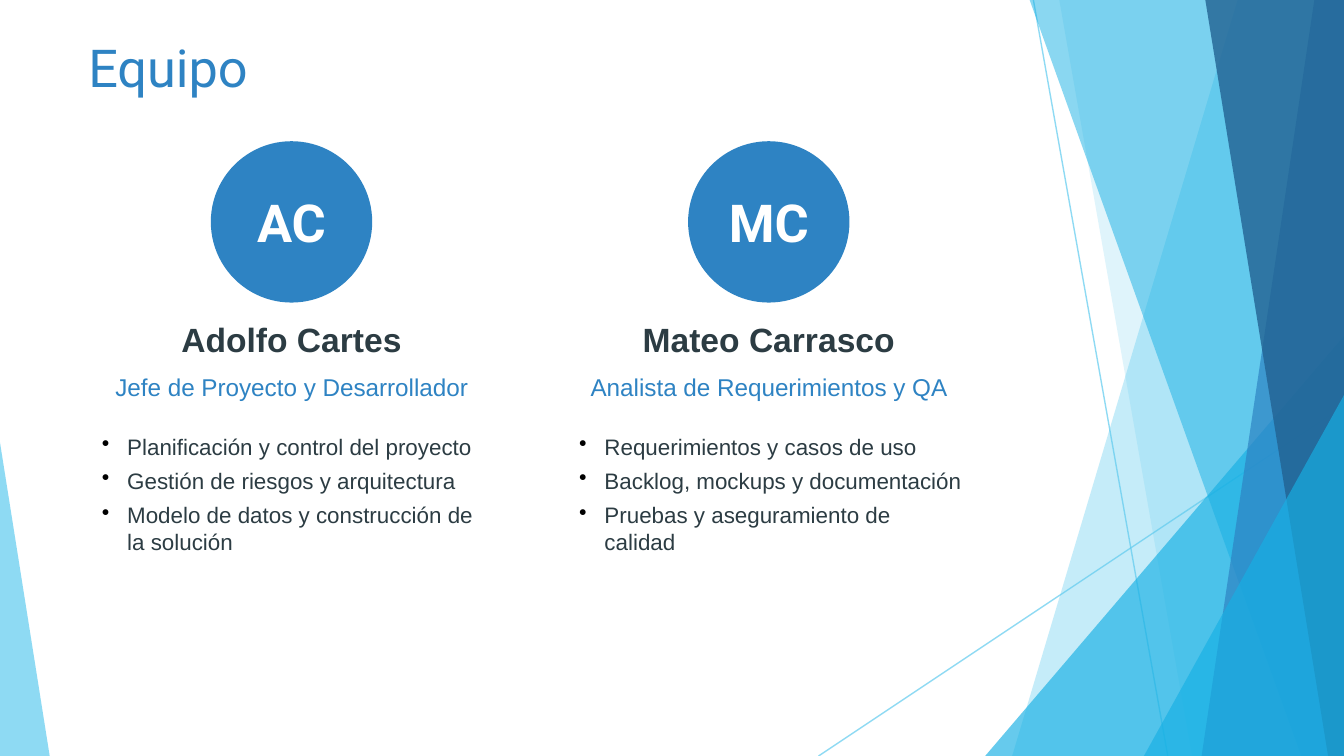
from lxml import etree
from pptx import Presentation
from pptx.dml.color import RGBColor
from pptx.enum import shapes, text
from pptx.oxml.ns import qn
from pptx.util import Cm, Pt

TITLE = "Equipo"
TEAM = [
    ("AC", "Adolfo Cartes", "Jefe de Proyecto y Desarrollador",
     ["Planificación y control del proyecto",
      "Gestión de riesgos y arquitectura",
      "Modelo de datos y construcción de la solución"]),
    ("MC", "Mateo Carrasco", "Analista de Requerimientos y QA",
     ["Requerimientos y casos de uso",
      "Backlog, mockups y documentación",
      "Pruebas y aseguramiento de calidad"]),
]
THEME = {
    "sky": "5FCBEF", "cyan": "17B0E4", "blue": "2E83C3", "navy": "226292",
    "ink": "2C3C43", "white": "FFFFFF", "black": "000000",
    "head": "Roboto", "body": "Arial",
    "big": 28, "name": 18, "role": 13, "task": 12,
}
WIDE, HIGH = 25.4, 14.29
RAYS = [(19.53, 0, 22.07, HIGH), (WIDE, 7.67, 15.47, HIGH)]
PANELS = [
    ("band", (23.39, 19.13), "sky", 36),
    ("band", (20.02, 22.53), "sky", 20),
    ("wedge", (18.62, 6.35, 6.78, 1), "cyan", 66),
    ("band", (19.46, 24.59), "cyan", 50),
    ("band", (24.84, 22.71), "blue", 70),
    ("band", (22.78, 25.1), "navy", 80),
    ("wedge", (21.62, 7.47, 3.78, 1), "cyan", 66),
    ("wedge", (0, 8.36, 0.94, 0), "sky", 70),
]
MID, PITCH, DISC = 5.51, 9.02, 3.05
CARD, LIST, INDENT = 7.87, 7.49, 0.48


def tint(name):
    return RGBColor.from_string(THEME[name])


def fade(item, share):
    for node in item.element.iter(qn("a:srgbClr")):
        etree.SubElement(node, qn("a:alpha")).set("val", str(share * 1000))


def paint(shape, hue):
    shape.shadow.inherit = False
    shape.fill.solid()
    shape.fill.fore_color.rgb = tint(hue)
    shape.line.fill.background()


def draw_ray(slide, ends):
    ray = slide.shapes.add_connector(
        shapes.MSO_CONNECTOR.STRAIGHT, *[Cm(v) for v in ends])
    ray.line.width = Pt(0.75)
    ray.line.color.rgb = tint("sky")
    etree.SubElement(ray.element.spPr, qn("a:effectLst"))
    fade(ray, 70)


def draw_panel(slide, kind, size, hue, share):
    if kind == "band":
        top, base = size
        pen = slide.shapes.build_freeform(Cm(top), 0)
        pen.add_line_segments([(Cm(WIDE), 0), (Cm(WIDE), Cm(HIGH)),
                               (Cm(base), Cm(HIGH))], close=True)
        panel = pen.convert_to_shape()
    else:
        left, top, width, peak = size
        panel = slide.shapes.add_shape(
            shapes.MSO_SHAPE.ISOSCELES_TRIANGLE,
            Cm(left), Cm(top), Cm(width), Cm(HIGH - top))
        panel.adjustments[0] = peak
    paint(panel, hue)
    fade(panel, share)


def add_dot(para):
    props = para._p.get_or_add_pPr()
    props.set("marL", str(Cm(INDENT)))
    props.set("indent", str(-Cm(INDENT)))
    color = etree.SubElement(props, qn("a:buClr"))
    etree.SubElement(color, qn("a:srgbClr")).set("val", THEME["black"])
    etree.SubElement(props, qn("a:buChar")).set("char", "•")


def write(shape, lines, face, size, hue, bold=False, center=True,
          after=3, dots=False):
    frame = shape.text_frame
    frame.word_wrap = True
    frame.text = "\n".join(lines)
    for para in frame.paragraphs:
        if dots:
            add_dot(para)
        para.alignment = text.PP_ALIGN.CENTER if center else text.PP_ALIGN.LEFT
        para.space_after = Pt(after)
        for run in para.runs:
            font = run.font
            font.name, font.size = THEME[face], Pt(THEME[size])
            font.bold, font.color.rgb = bold, tint(hue)


def add_box(slide, left, top, width, height):
    box = slide.shapes.add_textbox(Cm(left), Cm(top), Cm(width), Cm(height))
    frame = box.text_frame
    frame.margin_left = frame.margin_right = Cm(0.1)
    frame.margin_top = frame.margin_bottom = Cm(0.05)
    frame.auto_size = text.MSO_AUTO_SIZE.SHAPE_TO_FIT_TEXT
    return box


def add_card(slide, mid, mark, name, role, tasks):
    disc = slide.shapes.add_shape(
        shapes.MSO_SHAPE.OVAL, Cm(mid - DISC / 2), Cm(2.67), Cm(DISC), Cm(DISC))
    paint(disc, "blue")
    disc.text_frame.vertical_anchor = text.MSO_ANCHOR.MIDDLE
    write(disc, [mark], "head", "big", "white", bold=True)
    left = mid - CARD / 2
    write(add_box(slide, left, 5.97, CARD, 1.02), [name],
          "body", "name", "ink", bold=True)
    write(add_box(slide, left, 6.99, CARD, 0.89), [role],
          "body", "role", "blue")
    write(add_box(slide, left + 0.25, 8.13, LIST, 3.3), tasks,
          "body", "task", "ink", center=False, after=4, dots=True)


def main():
    deck = Presentation()
    deck.slide_width, deck.slide_height = Cm(WIDE), Cm(HIGH)
    slide = deck.slides.add_slide(deck.slide_layouts[6])
    for ends in RAYS:
        draw_ray(slide, ends)
    for panel in PANELS:
        draw_panel(slide, *panel)
    title = slide.shapes.add_textbox(Cm(1.42), Cm(0.3), Cm(17.91), Cm(1.93))
    title.text_frame.vertical_anchor = text.MSO_ANCHOR.MIDDLE
    write(title, [TITLE], "head", "big", "blue", center=False, after=0)
    for spot, person in enumerate(TEAM):
        add_card(slide, MID + spot * PITCH, *person)
    deck.save("out.pptx")


if __name__ == "__main__":
    main()
